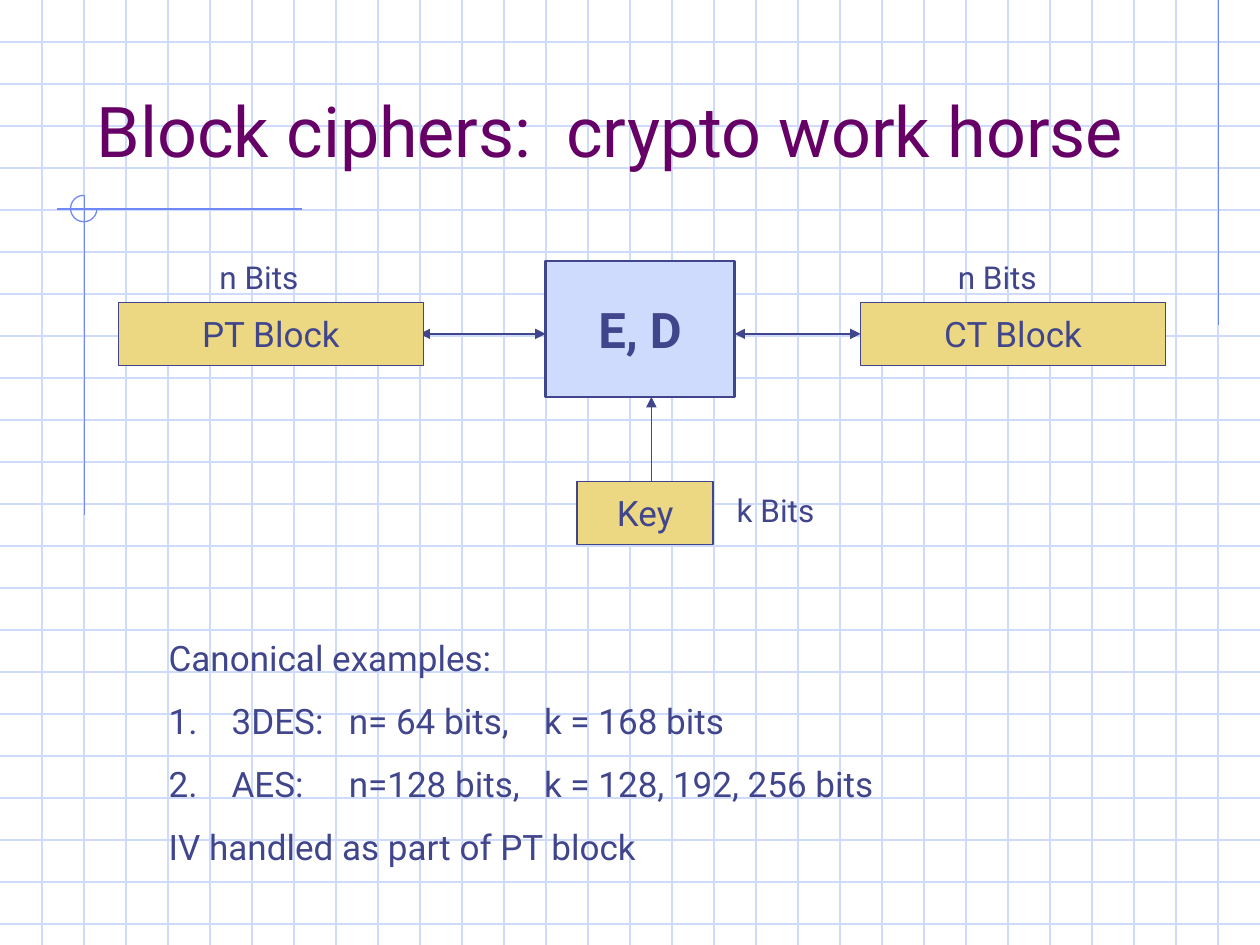
from dataclasses import dataclass

import pptx
import pptx.dml.color
import pptx.enum.shapes
import pptx.enum.text
import pptx.oxml.ns
import pptx.util
from lxml import etree

Inches = pptx.util.Inches
Pt = pptx.util.Pt
Shape = pptx.enum.shapes.MSO_SHAPE
Anchor = pptx.enum.text.MSO_ANCHOR
Align = pptx.enum.text.PP_ALIGN
LEFT_SIDE = 1


@dataclass(frozen=True)
class Theme:
    font: str = "Roboto"
    grid: str = "CFDBFD"
    accent: str = "6F89F7"
    ink: str = "40458C"
    title: str = "660066"
    data_fill: str = "ECD882"
    cipher_fill: str = "CFDBFD"
    title_size: int = 40
    cipher_size: int = 28
    body_size: int = 20
    label_size: int = 18
    thin: float = 0.75
    thick: float = 1.5


THEME = Theme()


def rgb(color):
    return pptx.dml.color.RGBColor.from_string(color)


def add_element(parent, tag, **attributes):
    return etree.SubElement(parent, pptx.oxml.ns.qn(tag), attributes)


def set_font(paragraph, size, color=THEME.ink, bold=False):
    font = paragraph.font
    font.name = THEME.font
    font.size = Pt(size)
    font.bold = bold
    font.color.rgb = rgb(color)


def set_line(shape, color, width=THEME.thin):
    shape.line.color.rgb = rgb(color)
    shape.line.width = Pt(width)


def add_line(slide, start, end, color, head=False, tail=False):
    """Draw a straight line, with a triangle at the start (head) or end (tail)."""
    line = slide.shapes.add_connector(
        pptx.enum.shapes.MSO_CONNECTOR.STRAIGHT,
        *(Inches(value) for value in (*start, *end)))
    set_line(line, color)
    outline = line.line._get_or_add_ln()
    if head:
        add_element(outline, "a:headEnd", type="triangle")
    if tail:
        add_element(outline, "a:tailEnd", type="triangle")
    add_element(line._element.spPr, "a:effectLst")
    return line


def add_text(slide, box, text, size, color=THEME.ink, align=Align.CENTER,
             anchor=Anchor.TOP, wrap=False):
    shape = slide.shapes.add_textbox(*(Inches(value) for value in box))
    frame = shape.text_frame
    frame.word_wrap = wrap
    frame.vertical_anchor = anchor
    frame.text = text
    for paragraph in frame.paragraphs:
        paragraph.alignment = align
        set_font(paragraph, size, color)


def add_block(slide, box, text, fill=THEME.data_fill, size=THEME.body_size,
              width=THEME.thin, bold=False):
    block = slide.shapes.add_shape(
        Shape.RECTANGLE, *(Inches(value) for value in box))
    block.shadow.inherit = False
    block.fill.solid()
    block.fill.fore_color.rgb = rgb(fill)
    set_line(block, THEME.ink, width)
    frame = block.text_frame
    frame.word_wrap = False
    frame.vertical_anchor = Anchor.MIDDLE
    paragraph = frame.paragraphs[0]
    paragraph.text = text
    paragraph.alignment = Align.CENTER
    set_font(paragraph, size, bold=bold)
    return block


def add_background(slide):
    for row in range(1, 23):
        add_line(slide, (0, row / 3), (10, row / 3), THEME.grid)
    for column in range(1, 30):
        add_line(slide, (column / 3, 0), (column / 3, 7.5), THEME.grid)

    add_line(slide, (9.67, 0), (9.67, 2.58), THEME.accent)
    add_line(slide, (2.4, 1.66), (0.45, 1.66), THEME.accent)
    add_line(slide, (0.67, 1.55), (0.67, 4.09), THEME.accent)
    arc = slide.shapes.add_shape(
        Shape.ARC, Inches(0.56), Inches(1.55), Inches(0.21), Inches(0.21))
    arc.shadow.inherit = False
    arc.adjustments[0] = 0
    arc.adjustments[1] = 162  # 270 degrees
    arc.fill.background()
    set_line(arc, THEME.accent)


def add_diagram(slide):
    add_block(slide, (4.33, 2.07, 1.5, 1.08), "E, D", THEME.cipher_fill,
              THEME.cipher_size, THEME.thick, bold=True)
    add_line(slide, (3.33, 2.65), (4.33, 2.65), THEME.ink, head=True, tail=True)
    output_arrow = add_line(
        slide, (5.83, 2.65), (6.83, 2.65), THEME.ink, head=True, tail=True)
    output_block = add_block(slide, (6.83, 2.4, 2.42, 0.5), "CT Block")
    output_arrow.end_connect(output_block, LEFT_SIDE)
    add_block(slide, (0.94, 2.4, 2.42, 0.5), "PT Block")
    add_block(slide, (4.58, 3.82, 1.08, 0.5), "Key")
    add_line(slide, (5.17, 3.82), (5.17, 3.15), THEME.ink, tail=True)

    for left, top, label in ((7.49, 2, "n Bits"), (1.63, 2, "n Bits"),
                             (5.73, 3.85, "k Bits")):
        add_text(slide, (left, top, 0.85, 0.4), label, THEME.label_size)


def add_numbering(paragraph, tab_stops):
    properties = paragraph._p.get_or_add_pPr()
    properties.set("marL", str(Inches(0.5)))
    properties.set("indent", str(Inches(-0.5)))
    add_element(properties, "a:buFont", typeface=THEME.font)
    add_element(properties, "a:buAutoNum", type="arabicPeriod")
    tabs = add_element(properties, "a:tabLst")
    for stop in tab_stops:
        add_element(tabs, "a:tab", pos=str(Inches(stop)), algn="l")


def add_examples(slide):
    lines = (
        ("Canonical examples:", False),
        ("3DES:\tn= 64 bits,\tk = 168 bits", True),
        ("AES:\tn=128 bits,\tk = 128, 192, 256 bits", True),
        ("IV handled as part of PT block", False),
    )
    box = slide.shapes.add_textbox(
        Inches(1.24), Inches(5), Inches(6), Inches(1.94))
    frame = box.text_frame
    frame.word_wrap = True
    for index, (text, numbered) in enumerate(lines):
        paragraph = frame.add_paragraph() if index else frame.paragraphs[0]
        paragraph.text = text
        if numbered:
            add_numbering(paragraph, (1.43, 2.98))
        if index:
            paragraph.line_spacing = 1.5
        set_font(paragraph, THEME.body_size)


def main():
    presentation = pptx.Presentation()
    presentation.slide_width = Inches(10)
    presentation.slide_height = Inches(7.5)
    slide = presentation.slides.add_slide(presentation.slide_layouts[6])
    add_background(slide)
    add_text(slide, (0.67, 0.33, 8.5, 1.08), "Block ciphers:  crypto work horse",
             THEME.title_size, THEME.title, Align.LEFT, Anchor.BOTTOM, wrap=True)
    add_diagram(slide)
    add_examples(slide)
    presentation.save("out.pptx")


if __name__ == "__main__":
    main()
